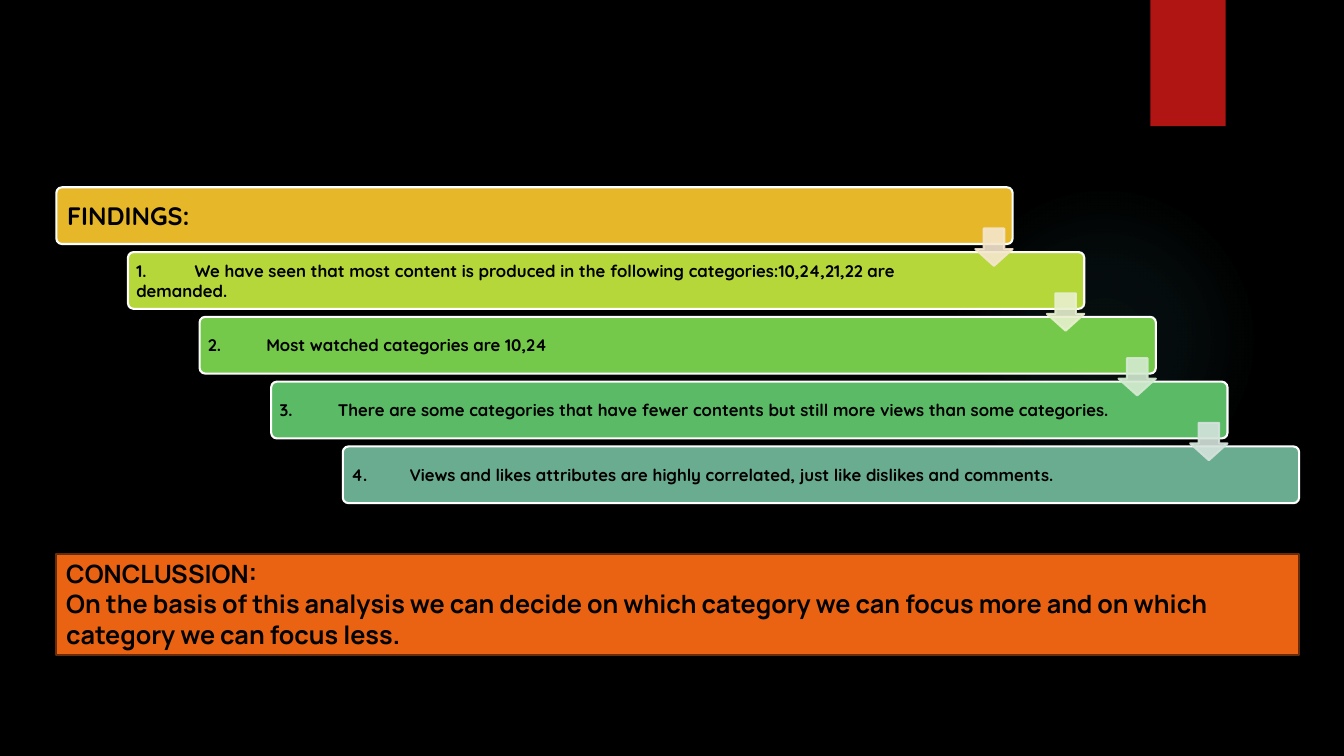
from lxml import etree
from pptx import Presentation
from pptx.dml.color import RGBColor
from pptx.enum import shapes, text
from pptx.oxml import ns
from pptx.util import Cm, Pt

COLOURS = {
    "background": "000000", "ink": "000000", "glow": "50B9C1", "ribbon": "B01513",
    "conclusion": "EA6312", "conclusion edge": "672B08", "bar edge": "FFFFFF",
}
BAR_COLOURS = ["E6B729", "B6D73A", "75C94A", "5ABA66", "6AAC90"]
ARROW_COLOURS = ["F5E6CD", "E8F0CF", "D4EAD1", "D4E3DC"]
FINDINGS = [
    "FINDINGS:",
    "1.\tWe have seen that most content is produced in the following "
    "categories:10,24,21,22 are demanded.",
    "2.\tMost watched categories are 10,24",
    "3.\tThere are some categories that have fewer contents but still more views "
    "than some categories.",
    "4.\tViews and likes attributes are highly correlated, just like dislikes and comments.",
]
CONCLUSION = [
    "CONCLUSSION:",
    "On the basis of this analysis we can decide on which category we can focus more "
    "and on which category we can focus less.",
]


def add_block(page, kind, box, fill, edge=None):
    """Add a flat preset shape; box is left, top, width, height in cm."""
    shape = page.shapes.add_shape(kind, *(Cm(length) for length in box))
    shape.shadow.inherit = False
    shape.fill.solid()
    shape.fill.fore_color.rgb = RGBColor.from_string(fill)
    if edge:
        shape.line.color.rgb = RGBColor.from_string(edge)
        shape.line.width = Pt(1.5)
    else:
        shape.line.fill.background()
    return shape


def set_alpha(colour, percent):
    etree.SubElement(colour, ns.qn("a:alpha"), val=str(percent * 1000))


def write(shape, lines, font_name, size, anchor):
    frame = shape.text_frame
    frame.word_wrap = True
    frame.vertical_anchor = anchor
    for index, line in enumerate(lines):
        para = frame.add_paragraph() if index else frame.paragraphs[0]
        para.text = line
        para.alignment = text.PP_ALIGN.LEFT
        para.font.name = font_name
        para.font.size = Pt(size)
        para.font.bold = True
        para.font.color.rgb = RGBColor.from_string(COLOURS["ink"])
    return frame


def set_tab_stop(para, distance):
    tabs = etree.Element(ns.qn("a:tabLst"))
    etree.SubElement(tabs, ns.qn("a:tab"), pos=str(Cm(distance)), algn="l")
    properties = para._p.get_or_add_pPr()
    run_defaults = properties.find(ns.qn("a:defRPr"))
    run_defaults.addprevious(tabs)


def draw_backdrop(page, width):
    page.background.fill.solid()
    page.background.fill.fore_color.rgb = RGBColor.from_string(COLOURS["background"])

    glow = add_block(page, shapes.MSO_SHAPE.OVAL, (width - 9.96, 4.65, 7.82, 7.82),
                     COLOURS["glow"])
    glow.fill.gradient()
    gradient = glow._element.spPr.find(ns.qn("a:gradFill"))
    for child in list(gradient):
        gradient.remove(child)
    stops = etree.SubElement(gradient, ns.qn("a:gsLst"))
    for position, opacity in [(0, 7), (36, 6), (69, 0)]:
        stop = etree.SubElement(stops, ns.qn("a:gs"), pos=str(position * 1000))
        set_alpha(etree.SubElement(stop, ns.qn("a:srgbClr"), val=COLOURS["glow"]), opacity)
    circle = etree.SubElement(gradient, ns.qn("a:path"), {"path": "circle"})
    etree.SubElement(circle, ns.qn("a:fillToRect"), l="50000", t="50000", r="50000", b="50000")

    add_block(page, shapes.MSO_SHAPE.RECTANGLE, (width - 4.88, 0, 1.9, 3.18),
              COLOURS["ribbon"])


def draw_findings(page, box):
    """Draw the staircase of bars, then an arrow from each bar to the next."""
    left, top, width, height = box
    bar_width, bar_height, arrow_size = 24.1, 1.43, 0.94
    steps = len(FINDINGS) - 1
    step_x = (width - bar_width) / steps
    step_y = (height - bar_height) / steps

    for index, (finding, fill) in enumerate(zip(FINDINGS, BAR_COLOURS)):
        bar = add_block(page, shapes.MSO_SHAPE.ROUNDED_RECTANGLE,
                        (left + index * step_x, top + index * step_y, bar_width, bar_height),
                        fill, COLOURS["bar edge"])
        bar.adjustments[0] = 0.1
        frame = write(bar, [finding], "Quicksand", 12 if index else 18,
                      text.MSO_ANCHOR.MIDDLE)
        frame.margin_left = Cm(0.17 if index else 0.23)
        frame.margin_right = Cm(2.87)
        frame.margin_top = frame.margin_bottom = Cm(0.15)
        if index:
            set_tab_stop(frame.paragraphs[0], 1.47)

    for index, colour in enumerate(ARROW_COLOURS):
        arrow = add_block(page, shapes.MSO_SHAPE.DOWN_ARROW,
                          (left + index * step_x + bar_width - arrow_size,
                           top + index * step_y + 1.04, arrow_size, arrow_size),
                          colour, colour)
        arrow.adjustments[0] = 0.55
        arrow.adjustments[1] = 0.45
        for shade in arrow._element.spPr.iter(ns.qn("a:srgbClr")):
            set_alpha(shade, 90)


def draw_conclusion(page, box):
    panel = add_block(page, shapes.MSO_SHAPE.RECTANGLE, box,
                      COLOURS["conclusion"], COLOURS["conclusion edge"])
    frame = write(panel, CONCLUSION, "Manrope", 18, text.MSO_ANCHOR.TOP)
    frame.auto_size = text.MSO_AUTO_SIZE.SHAPE_TO_FIT_TEXT


def main():
    deck = Presentation()
    deck.slide_width, deck.slide_height = Cm(33.87), Cm(19.05)
    page = deck.slides.add_slide(deck.slide_layouts[6])
    draw_backdrop(page, 33.87)
    draw_findings(page, (1.42, 4.72, 31.32, 7.96))
    draw_conclusion(page, (1.42, 13.95, 31.32, 2.56))
    deck.save("out.pptx")


if __name__ == "__main__":
    main()
